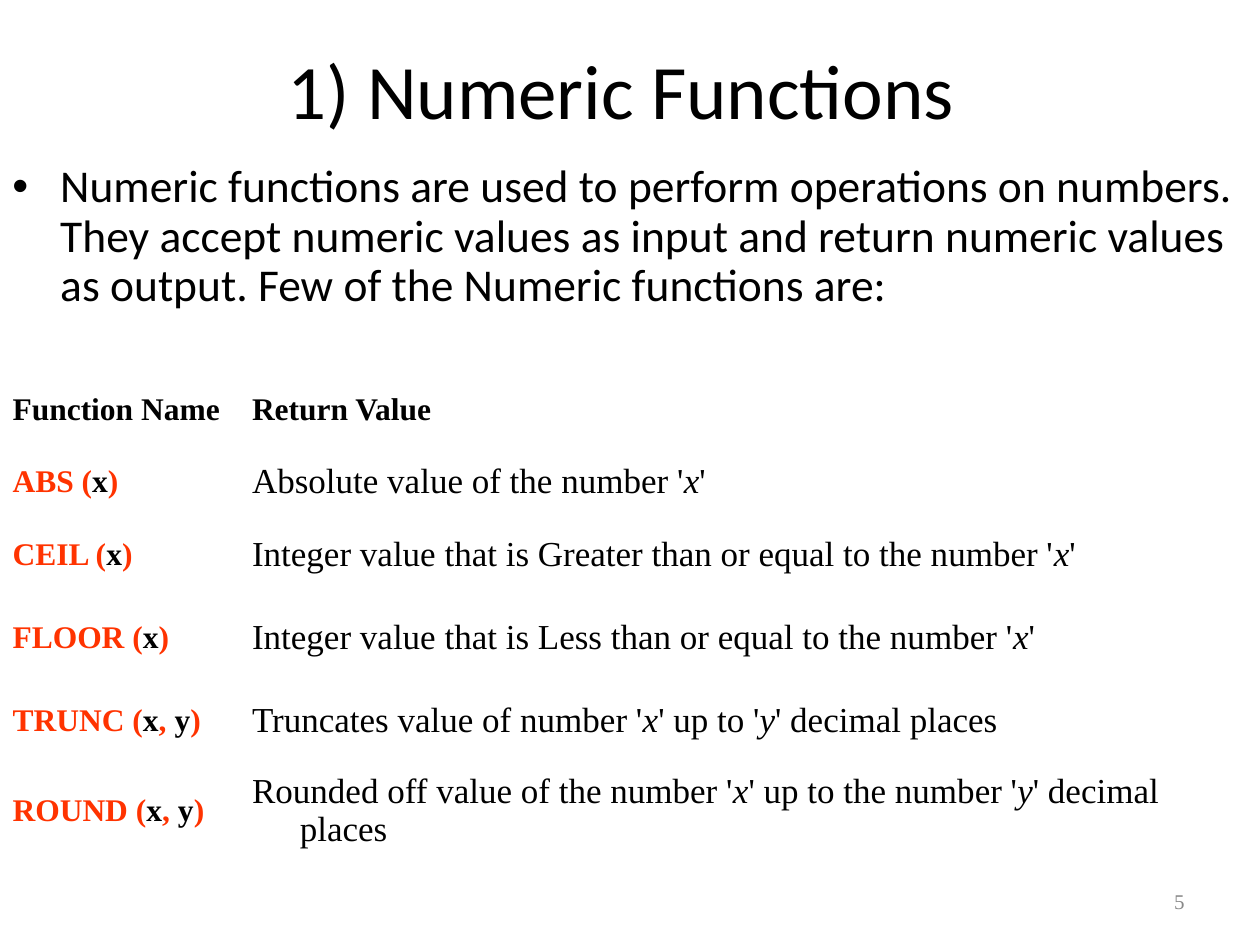
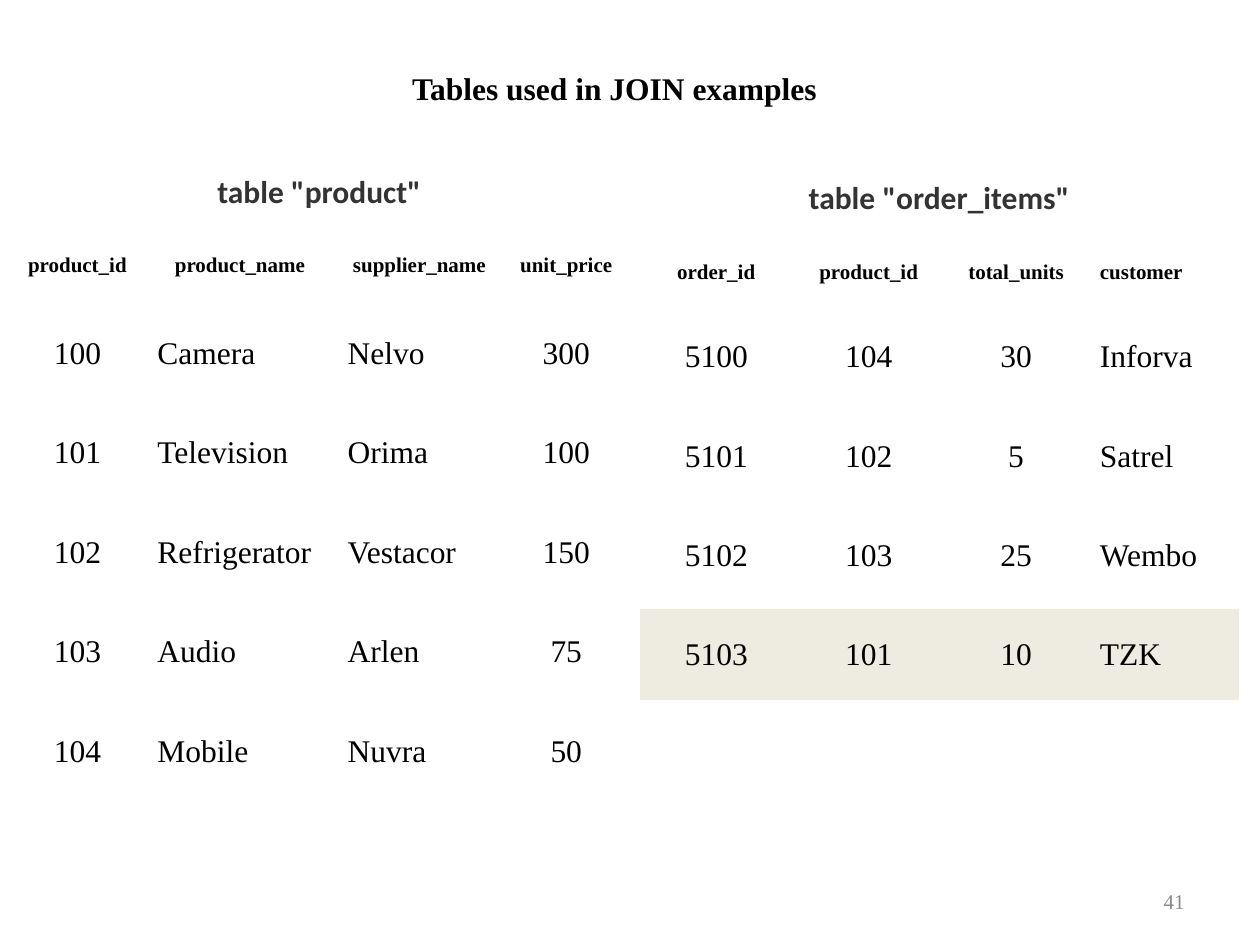
from lxml import etree
from pptx import Presentation
from pptx.dml.color import RGBColor
from pptx.enum.text import MSO_ANCHOR, MSO_AUTO_SIZE, PP_ALIGN
from pptx.oxml.ns import qn
from pptx.util import Pt

PX = 9144  # EMU in one px, 100 px to the inch
SLIDE_SIZE = (1000, 750)
TITLE_ONLY = 5
NO_STYLE_NO_GRID = "{2D5ABB26-0587-4C30-8999-92F81FD0307C}"
HANGING = 38

MIDDLE = MSO_ANCHOR.MIDDLE
NO_AUTOFIT = MSO_AUTO_SIZE.NONE
ALIGNMENTS = {"L": PP_ALIGN.LEFT, "C": PP_ALIGN.CENTER, "R": PP_ALIGN.RIGHT}

SANS, SERIF = "Calibri", "Times New Roman"
BLACK, WHITE, CHARCOAL = "000000", "FFFFFF", "333333"
GREY, RED, BEIGE = "898989", "FF3300", "EEECE1"

# Arguments stand between bars.
FUNCTIONS = [
    ("ABS (|x|)", "Absolute value of the number '|x|'"),
    ("CEIL (|x|)", "Integer value that is Greater than or equal to the number '|x|'"),
    ("FLOOR (|x|)", "Integer value that is Less than or equal to the number '|x|'"),
    ("TRUNC (|x|, |y|)", "Truncates value of number '|x|' up to '|y|' decimal places"),
    ("ROUND (|x|, |y|)",
     "Rounded off value of the number '|x|' up to the number '|y|' decimal places"),
]
PRODUCTS = [
    ("product_id", "product_name", "supplier_name", "unit_price"),
    ("100", "Camera", "Nelvo", "300"),
    ("101", "Television", "Orima", "100"),
    ("102", "Refrigerator", "Vestacor", "150"),
    ("103", "Audio", "Arlen", "75"),
    ("104", "Mobile", "Nuvra", "50"),
]
ORDERS = [
    ("order_id", "product_id", "total_units", "customer"),
    ("5100", "104", "30", "Inforva"),
    ("5101", "102", "5", "Satrel"),
    ("5102", "103", "25", "Wembo"),
    ("5103", "101", "10", "TZK"),
]


def px(length):
    return length * PX


def color(hex_string):
    return RGBColor.from_string(hex_string)


def format_paragraph(paragraph, face, size, shade=BLACK, bold=False, align="L"):
    paragraph.alignment = ALIGNMENTS[align]
    font = paragraph.font
    font.name, font.size, font.bold = face, Pt(size), bold
    font.color.rgb = color(shade)


def hang(paragraph):
    properties = paragraph._p.get_or_add_pPr()
    properties.set("marL", str(px(HANGING)))
    properties.set("indent", str(-px(HANGING)))
    return properties


def add_title(slide, text, box, face, size, bold=False, align="C"):
    title = slide.shapes.title
    title.left, title.top, title.width, title.height = map(px, box)
    frame = title.text_frame
    frame.text = text
    frame.auto_size = NO_AUTOFIT
    frame.vertical_anchor = MIDDLE
    format_paragraph(frame.paragraphs[0], face, size, bold=bold, align=align)


def add_text(slide, text, box):
    """Add a wrapping text box and return its text frame."""
    frame = slide.shapes.add_textbox(*map(px, box)).text_frame
    frame.word_wrap = True
    frame.text = text
    return frame


def add_bullet(slide, text, box):
    paragraph = add_text(slide, text, box).paragraphs[0]
    properties = hang(paragraph)
    etree.SubElement(properties, qn("a:buFont"), typeface="Arial")
    etree.SubElement(properties, qn("a:buChar"), char="•")
    paragraph.line_spacing = 0.9
    format_paragraph(paragraph, SANS, 26)


def add_page_number(slide, number):
    frame = add_text(slide, str(number), (717, 695, 233, 40))
    frame.vertical_anchor = MIDDLE
    format_paragraph(frame.paragraphs[0], SERIF, 12, GREY, align="R")


def add_plain_table(slide, left, top, widths, heights):
    frame = slide.shapes.add_table(len(heights), len(widths), px(left), px(top),
                                   px(sum(widths)), px(sum(heights)))
    table = frame.table
    table.first_row = table.horz_banding = False
    table._tbl.tblPr.find(qn("a:tableStyleId")).text = NO_STYLE_NO_GRID
    for column, width in zip(table.columns, widths):
        column.width = px(width)
    for row, height in zip(table.rows, heights):
        row.height = px(height)
    return table


def fill_cell(cell, text, face, size, shade=BLACK, bold=False, align="L", fill=None):
    """Write text into a cell; return the runs of its arguments."""
    cell.vertical_anchor = MIDDLE
    if fill:
        cell.fill.solid()
        cell.fill.fore_color.rgb = color(fill)
    else:
        cell.fill.background()
    paragraph = cell.text_frame.paragraphs[0]
    hang(paragraph)
    format_paragraph(paragraph, face, size, shade, bold, align)
    for part in text.split("|"):
        paragraph.add_run().text = part
    return paragraph.runs[1::2]


def add_function_table(slide):
    table = add_plain_table(slide, 0, 292, (190, 814), (66, 49, 66, 66, 66, 72))
    for column, heading in enumerate(("Function Name", "Return Value")):
        fill_cell(table.cell(0, column), heading, SERIF, 18, bold=True)
    for row, (call, meaning) in enumerate(FUNCTIONS, start=1):
        for argument in fill_cell(table.cell(row, 0), call, SERIF, 18, RED, bold=True):
            argument.font.color.rgb = color(BLACK)
        for argument in fill_cell(table.cell(row, 1), meaning, SERIF, 20):
            argument.font.italic = True


def add_data_table(slide, caption, records, left, widths, heights,
                   heading_align, body_align, shaded_row=None):
    """Add a captioned table; the aligns hold one letter a column."""
    table = add_plain_table(slide, left, 125, widths, heights)
    caption_cell = table.cell(0, 0)
    caption_cell.merge(table.cell(0, len(widths) - 1))
    fill_cell(caption_cell, caption, SANS, 18, CHARCOAL, True, "C", WHITE)
    for row, record in enumerate(records, start=1):
        is_heading = row == 1
        aligns = heading_align if is_heading else body_align
        fill = BEIGE if row == shaded_row else WHITE
        for column, value in enumerate(record):
            fill_cell(table.cell(row, column), value, SERIF, 12 if is_heading else 18,
                      bold=is_heading, align=aligns[column], fill=fill)


def build_numeric_functions(slide):
    add_title(slide, "1) Numeric Functions ", (75, 8, 850, 125), SANS, 44)
    add_bullet(slide, "Numeric functions are used to perform operations on numbers. "
               "They accept numeric values as input and return numeric values as output. "
               "Few of the Numeric functions are:", (0, 125, 1000, 150))
    add_function_table(slide)
    add_page_number(slide, 5)


def build_join_tables(slide):
    add_title(slide, "Tables used in JOIN examples", (317, 50, 358, 40),
              SERIF, 18, bold=True, align="L")
    add_data_table(slide, 'table "product"', PRODUCTS, 8, (107, 151, 134, 99),
                   (56, 60) + (79,) * 5, "CCCC", "CLLC")
    add_data_table(slide, 'table "order_items"', ORDERS, 508, (121, 121, 113, 120),
                   (65, 52, 83, 75, 83, 73), "CCCL", "CCCL", shaded_row=len(ORDERS))
    add_page_number(slide, 41)


def main():
    deck = Presentation()
    deck.slide_width, deck.slide_height = map(px, SLIDE_SIZE)
    for build in (build_numeric_functions, build_join_tables):
        build(deck.slides.add_slide(deck.slide_layouts[TITLE_ONLY]))
    deck.save("out.pptx")


if __name__ == "__main__":
    main()
